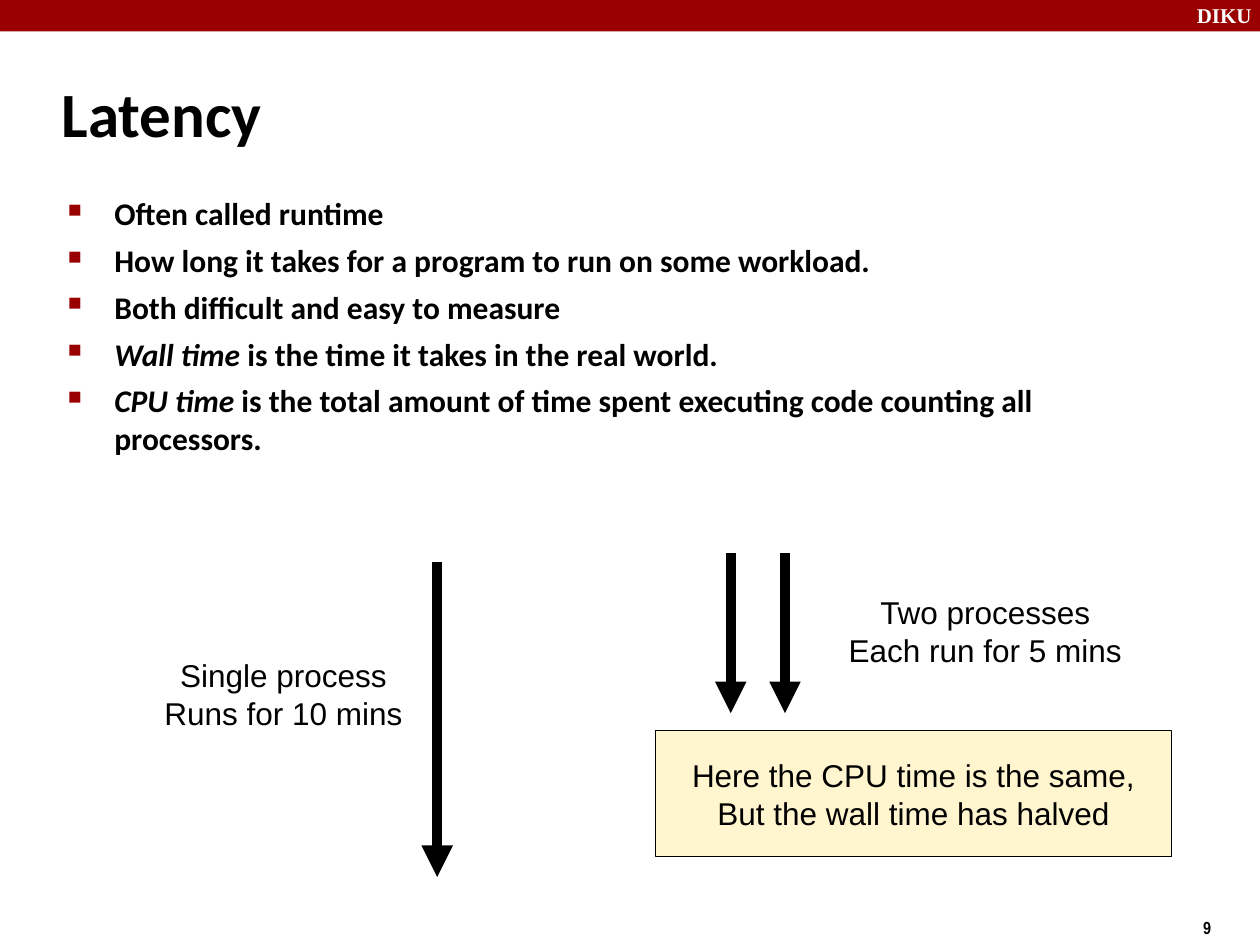
from lxml.etree import SubElement
from pptx import Presentation
from pptx.dml.color import RGBColor
from pptx.enum.shapes import MSO_CONNECTOR, MSO_SHAPE
from pptx.enum.text import MSO_ANCHOR, MSO_AUTO_SIZE, PP_ALIGN
from pptx.oxml.ns import qn
from pptx.util import Inches, Pt

# Content
RED, BLACK, WHITE, CREAM = "990000", "000000", "FFFFFF", "FFF5CE"
WIDTH, HEIGHT = 10, 7.5
TITLE = "Latency"
BULLETS = [  # (italic term, rest of the sentence)
    ("", "Often called runtime"),
    ("", "How long it takes for a program to run on some workload."),
    ("", "Both difficult and easy to measure"),
    ("Wall time", " is the time it takes in the real world."),
    ("CPU time", " is the total amount of time spent executing code counting all processors."),
]
ARROWS = [  # (x, top, bottom)
    (3.47, 4.46, 6.96),
    (5.8, 4.39, 5.66),
    (6.23, 4.39, 5.66),
]
LABELS = [  # (box, lines)
    ((1.1, 5.16, 2.3, 0.66), ["Single process", "Runs for 10 mins"]),
    ((6.62, 4.66, 2.4, 0.94), ["Two processes", "Each run for 5 mins"]),
]
CONCLUSION = ((5.2, 5.8, 4.1, 1),
              ["Here the CPU time is the same,", "But the wall time has halved"])
MARKS = [  # (box, text, font, size, colour, wrap)
    ((9.4, -0.03, 0.67, 0.3), "DIKU", "Times New Roman", 12, WHITE, True),
    ((9.45, 7.23, 0.75, 0.29), "9", "Arial Narrow", 10, BLACK, False),
]


def color(value):
    return RGBColor.from_string(value)


def inches(box):
    return [Inches(length) for length in box]


def style(font, name, size, value=BLACK, bold=False):
    font.name, font.size, font.bold = name, Pt(size), bold
    font.color.rgb = color(value)


def add_rectangle(slide, box, fill):
    shape = slide.shapes.add_shape(MSO_SHAPE.RECTANGLE, *inches(box))
    shape.shadow.inherit = False
    shape.fill.solid()
    shape.fill.fore_color.rgb = color(fill)
    return shape


def add_text_box(slide, box, wrap=True):
    text_frame = slide.shapes.add_textbox(*inches(box)).text_frame
    text_frame.word_wrap = wrap
    return text_frame


def write_centred(text_frame, lines):
    text_frame.text = "\n".join(lines)
    for paragraph in text_frame.paragraphs:
        paragraph.alignment = PP_ALIGN.CENTER
        for run in paragraph.runs:
            style(run.font, "Arial", 18)


def add_bullet(paragraph):
    properties = paragraph._p.get_or_add_pPr()
    properties.set("marL", str(Inches(0.38)))
    properties.set("indent", str(Inches(-0.37)))
    bullet_color = SubElement(properties, qn("a:buClr"))
    SubElement(bullet_color, qn("a:srgbClr"), val=RED)
    SubElement(properties, qn("a:buSzPct"), val="60000")
    SubElement(properties, qn("a:buChar"), char="■")


def add_arrow(slide, x, top, bottom):
    arrow = slide.shapes.add_connector(
        MSO_CONNECTOR.STRAIGHT, *inches((x, top, x, bottom)))
    arrow.line.color.rgb = color(BLACK)
    arrow.line.width = Pt(6)
    SubElement(arrow.line._get_or_add_ln(), qn("a:tailEnd"), type="triangle")
    SubElement(arrow._element.spPr, qn("a:effectLst"))


def main():
    presentation = Presentation()
    presentation.slide_width, presentation.slide_height = inches((WIDTH, HEIGHT))
    slide = presentation.slides.add_slide(presentation.slide_layouts[5])

    # Top band, department name and page number
    add_rectangle(slide, (0, 0, WIDTH, 0.25), RED).line.fill.background()
    for box, text, name, size, value, wrap in MARKS:
        text_frame = add_text_box(slide, box, wrap)
        text_frame.text = text
        style(text_frame.paragraphs[0].runs[0].font, name, size, value, bold=True)

    # Title
    title = slide.shapes.title
    title.left, title.top, title.width, title.height = inches((0.39, 0.48, 8.3, 0.83))
    title.text_frame.text = TITLE
    title.text_frame.auto_size = MSO_AUTO_SIZE.NONE
    title.text_frame.vertical_anchor = MSO_ANCHOR.MIDDLE
    paragraph = title.text_frame.paragraphs[0]
    paragraph.alignment = PP_ALIGN.LEFT
    style(paragraph.runs[0].font, "Calibri", 36, bold=True)

    # Bullets
    text_frame = add_text_box(slide, (0.43, 1.49, 8.63, 5.44))
    for index, parts in enumerate(BULLETS):
        paragraph = text_frame.add_paragraph() if index else text_frame.paragraphs[0]
        add_bullet(paragraph)
        if index:
            paragraph.space_before = Pt(5.2)
        for text, italic in zip(parts, (True, False)):
            if text:
                run = paragraph.add_run()
                run.text = text
                style(run.font, "Calibri", 18, bold=True)
                run.font.italic = italic

    # Process arrows and their labels
    for arrow in ARROWS:
        add_arrow(slide, *arrow)
    for box, lines in LABELS:
        write_centred(add_text_box(slide, box), lines)

    # Conclusion box
    box, lines = CONCLUSION
    shape = add_rectangle(slide, box, CREAM)
    shape.line.color.rgb = color(BLACK)
    shape.line.width = Pt(0)
    shape.text_frame.word_wrap = False
    shape.text_frame.vertical_anchor = MSO_ANCHOR.MIDDLE
    write_centred(shape.text_frame, lines)

    presentation.save("out.pptx")


if __name__ == "__main__":
    main()
